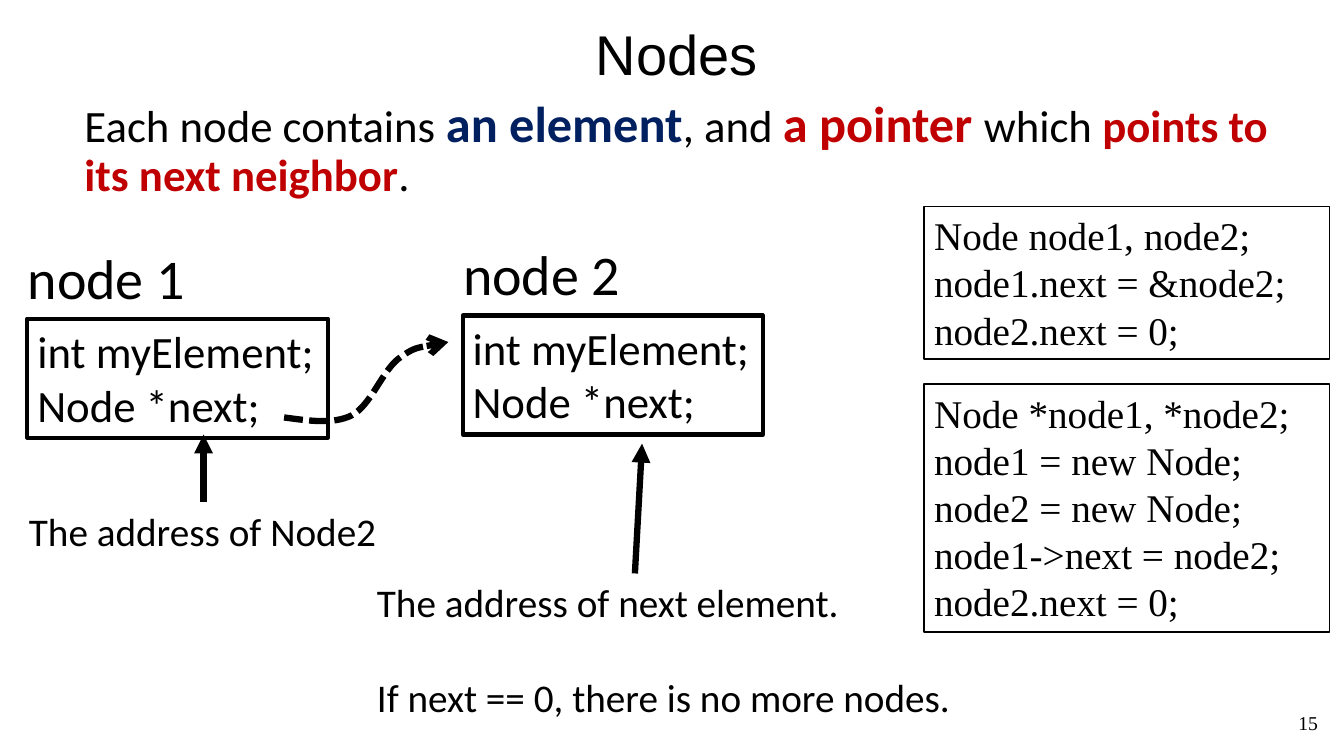
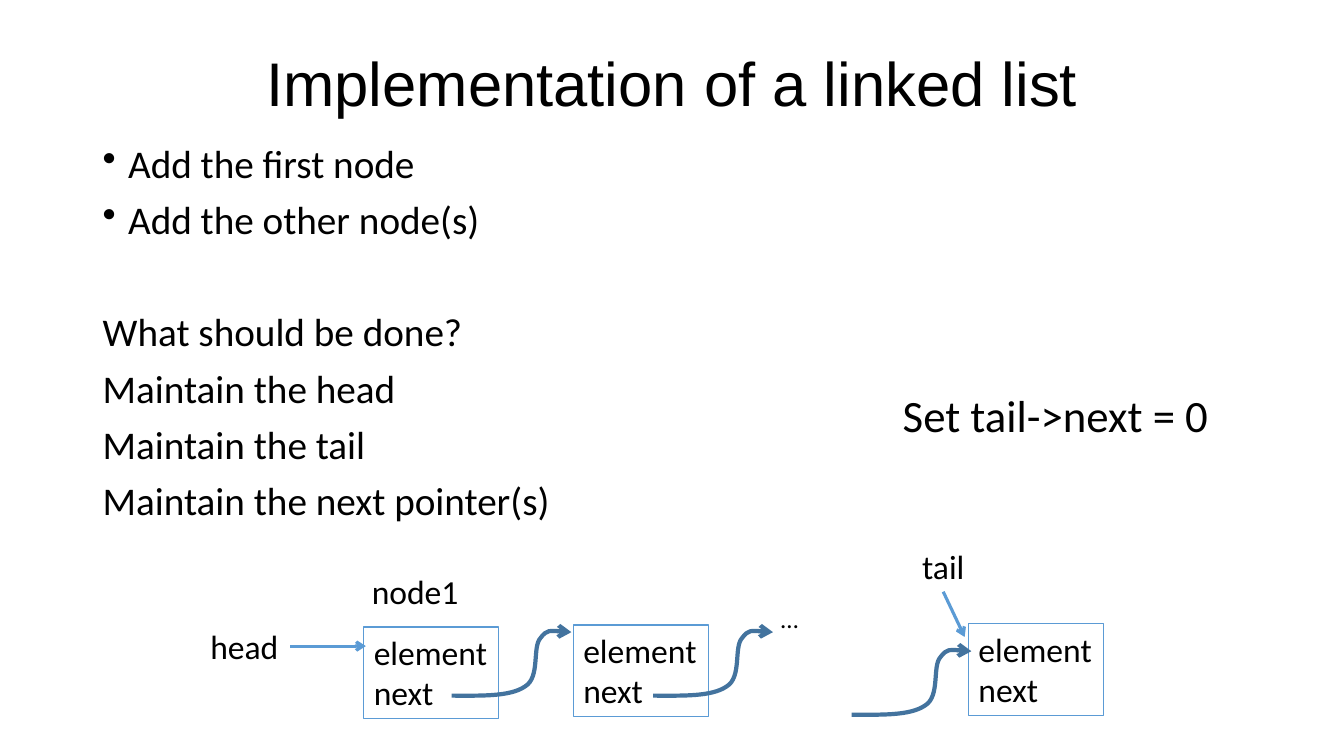
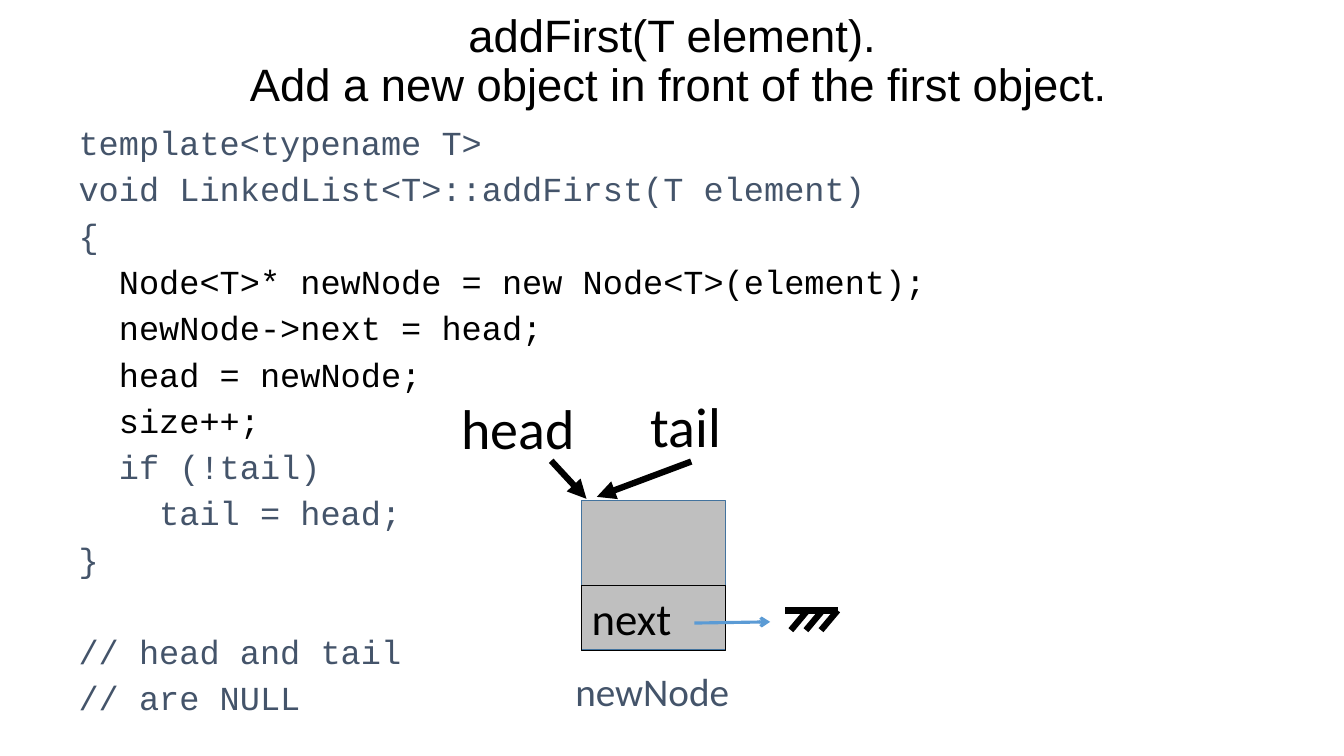
from dataclasses import dataclass

from lxml import etree
from pptx import Presentation
from pptx import util as u
from pptx.dml.color import RGBColor
from pptx.enum import dml, shapes, text
from pptx.oxml.ns import qn


@dataclass(frozen=True)
class Theme:
    black: str = "000000"
    navy: str = "002060"
    red: str = "C00000"
    blue: str = "5B9BD5"
    steel: str = "43739E"
    slate: str = "44546A"
    grey: str = "BFBFBF"
    heading_font: str = "Arial"
    body_font: str = "Calibri"
    code_font: str = "Courier New"
    serif_font: str = "Times New Roman"
    big: float = 40
    strong: float = 36
    lead: float = 32
    body: float = 28
    small: float = 24
    dots: float = 18
    page: float = 14
    thick: float = 4.5


THEME = Theme()

# Offsets in cm from the start of a curve, three points for each Bézier part
WIDE_LINK = [(0.61, 0.08), (1.22, 0.18), (1.7, -0.05),
             (2.18, -0.3), (2.46, -1.14), (2.87, -1.47),
             (3.28, -1.78), (3.71, -1.83), (4.14, -1.9)]
SMALL_LINK = [(0.74, 0), (1.47, 0.03), (1.85, -0.23),
              (2.24, -0.46), (2.03, -1.22), (2.24, -1.45),
              (2.41, -1.68), (2.72, -1.63), (3.02, -1.6)]


def cm(*lengths):
    return [u.Cm(length) for length in lengths]


def write(frame, *paragraphs, **style):
    """Fill a frame; a paragraph is a string, a list of (text, format) runs,
    or a tuple of either with its own format."""
    for index, item in enumerate(paragraphs):
        content, own = item if isinstance(item, tuple) else (item, {})
        look = {"font": THEME.body_font, "size": THEME.body, "color": THEME.black,
                "bold": False, "align": text.PP_ALIGN.LEFT, "spacing": 1.0,
                "before": 0, "bullet": False, **style, **own}
        paragraph = frame.add_paragraph() if index else frame.paragraphs[0]
        paragraph.alignment = look["align"]
        paragraph.line_spacing = look["spacing"]
        paragraph.space_before = u.Pt(look["before"] if index else 0)
        if look["bullet"]:
            properties = paragraph._p.get_or_add_pPr()
            indent = u.Cm(0.64)
            properties.set("marL", str(indent))
            properties.set("indent", str(-indent))
            etree.SubElement(properties, qn("a:buChar")).set("char", "•")
        runs = content if isinstance(content, list) else [(content, {})]
        for words, emphasis in runs:
            run_look = {**look, **emphasis}
            for number, line in enumerate(words.split("\n")):
                if number:
                    paragraph.add_line_break()
                run = paragraph.add_run()
                run.text = line
                run.font.name = run_look["font"]
                run.font.size = u.Pt(run_look["size"])
                run.font.bold = run_look["bold"]
                run.font.color.rgb = RGBColor.from_string(run_look["color"])


def stroke(outline, color, width, dash=None, tip=None):
    """Set the line of a shape or connector and remove its shadow."""
    outline.line.color.rgb = RGBColor.from_string(color)
    outline.line.width = u.Pt(width)
    if dash:
        outline.line.dash_style = dash
    properties = outline._element.spPr
    if tip:
        etree.SubElement(properties.find(qn("a:ln")), qn("a:tailEnd")).set("type", tip)
    etree.SubElement(properties, qn("a:effectLst"))


class Deck:
    def __init__(self, theme):
        self.theme = theme
        self.file = Presentation()
        self.file.slide_width, self.file.slide_height = cm(33.87, 19.05)
        self.slide = None

    def start_slide(self, title, place, size):
        self.slide = self.file.slides.add_slide(self.file.slide_layouts[5])
        heading = self.slide.shapes.title
        heading.left, heading.top, heading.width, heading.height = cm(*place)
        frame = heading.text_frame
        frame.auto_size = text.MSO_AUTO_SIZE.NONE
        frame.vertical_anchor = text.MSO_ANCHOR.MIDDLE
        write(frame, title, font=self.theme.heading_font, size=size,
              align=text.PP_ALIGN.CENTER, spacing=0.9)

    def label(self, place, *paragraphs, wrap=False, **style):
        frame = self.slide.shapes.add_textbox(*cm(*place)).text_frame
        frame.word_wrap = wrap
        frame.auto_size = (text.MSO_AUTO_SIZE.NONE if wrap
                           else text.MSO_AUTO_SIZE.SHAPE_TO_FIT_TEXT)
        write(frame, *paragraphs, **style)

    def box(self, place, *paragraphs, line, width, fill=None, wrap=False, **style):
        box = self.slide.shapes.add_shape(shapes.MSO_SHAPE.RECTANGLE, *cm(*place))
        stroke(box, line, width)
        if fill:
            box.fill.solid()
            box.fill.fore_color.rgb = RGBColor.from_string(fill)
        else:
            box.fill.background()
        if paragraphs:
            frame = box.text_frame
            frame.word_wrap = wrap
            frame.auto_size = text.MSO_AUTO_SIZE.SHAPE_TO_FIT_TEXT
            frame.vertical_anchor = text.MSO_ANCHOR.TOP
            write(frame, *paragraphs, **style)

    def line(self, start, end, color, width, tip=None, group=None):
        parent = (group or self.slide).shapes
        connector = parent.add_connector(
            shapes.MSO_CONNECTOR.STRAIGHT, *cm(*start, *end))
        stroke(connector, color, width, tip=tip)

    def pointer(self, start, end):
        self.line(start, end, self.theme.black, self.theme.thick, "triangle")

    def thin_pointer(self, start, end):
        self.line(start, end, self.theme.blue, 2.25, "arrow")

    def curve(self, start, offsets, color, width, dash=None):
        """Draw a curved arrow through Bézier points relative to its start."""
        x, y = start
        builder = self.slide.shapes.build_freeform(*cm(x, y))
        builder.add_line_segments([cm(x + dx, y + dy) for dx, dy in offsets], close=False)
        curve = builder.convert_to_shape()
        outline = next(curve._element.iter(qn("a:path")))
        segments = outline.findall(qn("a:lnTo"))
        for first in range(0, len(segments), 3):
            bezier = etree.SubElement(outline, qn("a:cubicBezTo"))
            for segment in segments[first:first + 3]:
                bezier.append(segment[0])
                outline.remove(segment)
        stroke(curve, color, width, dash, "arrow")
        curve.fill.background()

    def ground(self, x, y):
        """Draw the null symbol: a bar with three slanted ticks."""
        group = self.slide.shapes.add_group_shape()
        ticks = [((x + 0.56 + 0.38 * i, y), (x + 0.14 + 0.38 * i, y + 0.5))
                 for i in range(3)]
        for start, end in [((x, y), (x + 1.34, y)), *ticks]:
            self.line(start, end, self.theme.black, self.theme.thick, group=group)


def nodes_slide(deck):
    t = deck.theme
    deck.start_slide("Nodes", (1.88, 0.71, 30.35, 1.47), t.big)
    deck.label((32.08, 17.78, 1.78, 1.02), "15", wrap=True, font=t.serif_font,
               size=t.page, align=text.PP_ALIGN.CENTER)
    red = {"color": t.red, "bold": True}
    deck.label((1.88, 2.36, 31.09, 4.8), [
        ("Each node contains ", {}),
        ("an element", {"color": t.navy, "bold": True, "size": t.strong}),
        (", and ", {}),
        ("a pointer ", {**red, "size": t.strong}),
        ("which ", {}),
        ("points to its next neighbor", red),
        (".", {}),
    ], wrap=True, size=t.lead, spacing=0.9)

    static_code = ["Node node1, node2;", "node1.next = &node2;", "node2.next = 0;"]
    dynamic_code = ["Node *node1, *node2;", "node1 = new Node;", "node2 = new Node;",
                    "node1->next = node2;", "node2.next = 0;"]
    for top, height, code in [(5.21, 3.84, static_code), (9.68, 6.25, dynamic_code)]:
        deck.box((23.29, top, 10.21, height), *code, line=t.black, width=1,
                 wrap=True, font=t.serif_font)

    for name, x, y in [("node 1", 0.69, 8.03), ("node 2", 11.66, 7.95)]:
        deck.label((x - 0.24, y - 2.03, 4.67, 1.96), name, size=t.big)
        deck.box((x, y, 7.57, 3), "int myElement;", "Node *next;",
                 line=t.black, width=3, size=t.lead)
    deck.curve((7.16, 10.52), WIDE_LINK, t.black, t.thick, dml.MSO_LINE.SQUARE_DOT)

    deck.label((0.48, 12.65, 9.37, 1.45), "The address of Node2")
    deck.pointer((5.13, 12.65), (5.13, 10.95))
    deck.label((9.25, 14.45, 15.14, 3.84), "The address of next element.",
               ("If next == 0, there is no more nodes.", {"before": 34}))
    deck.pointer((16, 14.45), (16.18, 11.18))


def linked_list_slide(deck):
    t = deck.theme
    deck.start_slide("Implementation of a linked list", (2.34, 0.33, 29.21, 3.68), 44)
    deck.label((2.34, 3.51, 29.21, 12.09),
               ("Add the first node", {"bullet": True}),
               ("Add the other node(s)", {"bullet": True}),
               ("What should be done?", {"before": 50}),
               "Maintain the head", "Maintain the tail", "Maintain the next pointer(s)",
               wrap=True, spacing=0.9, before=10)
    deck.label((22.5, 9.65, 8.31, 1.63), "Set tail->next = 0", size=t.lead)

    for x, y in [(9.17, 15.8), (14.45, 15.75), (24.41, 15.72)]:
        deck.box((x, y, 3.4, 2.31), "element", "next",
                 line=t.blue, width=0.75, size=t.small)
    for start in [(11.38, 17.53), (16.46, 17.53), (21.46, 18.01)]:
        deck.curve(start, SMALL_LINK, t.steel, 3)
    for name, x, y, width in [("node1", 9.12, 14.25, 2.72), ("head", 5.05, 15.65, 2.26),
                              ("tail", 22.99, 13.64, 1.6)]:
        deck.label((x, y, width, 1.27), name, size=t.small)
    deck.label((19.43, 15.09, 0.97, 1.02), "…", size=t.dots)
    deck.thin_pointer((7.32, 16.28), (9.22, 16.28))
    deck.thin_pointer((23.77, 14.91), (24.31, 16.05))


def add_first_slide(deck):
    t = deck.theme
    deck.start_slide("addFirst(T element). \nAdd a new object in front of the first object.",
                     (0.97, 0.46, 32.26, 2.24), 32.4)
    new_lines = ["  Node<T>* newNode = new Node<T>(element);", "  newNode->next = head;",
                 "  head = newNode;", "  size++;"]
    deck.label((1.73, 3.15, 24.61, 14.12),
               "template<typename T>", "void LinkedList<T>::addFirst(T element)", "{",
               *[(line, {"color": t.black}) for line in new_lines],
               "  if (!tail)", "    tail = head;", "}",
               ("// head and tail", {"before": 43}), "// are NULL",
               wrap=True, font=t.code_font, size=t.small, color=t.slate,
               spacing=0.8, before=10)

    deck.box((14.66, 12.62, 3.63, 3.76), line=t.steel, width=1, fill=t.grey)
    deck.box((14.66, 14.76, 3.63, 1.63), "next", line=t.black, width=0.75,
             wrap=True, size=t.lead)
    deck.label((14.25, 16.69, 4.42, 1.45), "newNode", color=t.slate)
    deck.label((11.38, 9.8, 3.4, 1.96), "head", size=t.big)
    deck.label((16.15, 9.73, 2.31, 1.96), "tail", size=t.big)
    deck.pointer((13.89, 11.61), (14.78, 12.57))
    deck.pointer((17.42, 11.63), (15.04, 12.52))
    deck.thin_pointer((17.5, 15.7), (19.41, 15.67))
    deck.ground(19.79, 15.38)


def main():
    deck = Deck(THEME)
    nodes_slide(deck)
    linked_list_slide(deck)
    add_first_slide(deck)
    deck.file.save("out.pptx")


if __name__ == "__main__":
    main()
